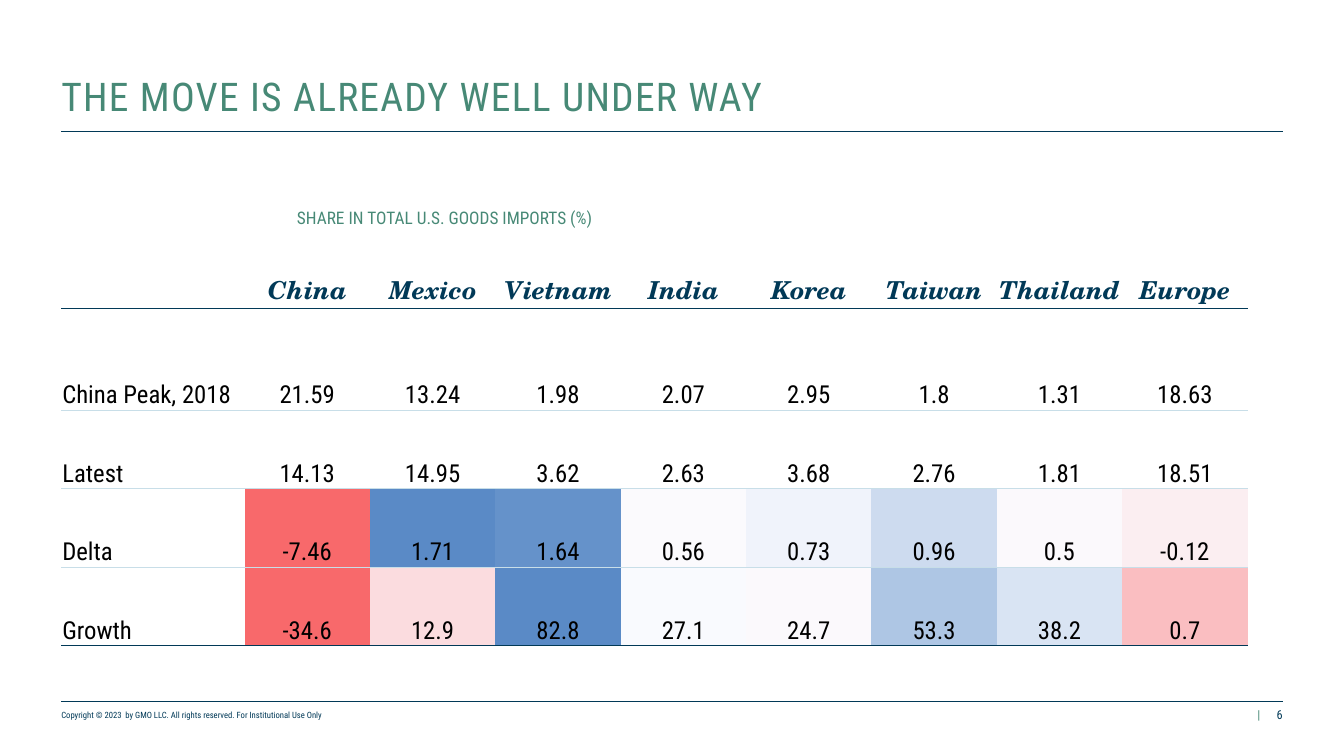
"""Build a slide with a shaded table of shares in U.S. goods imports."""
from lxml.etree import SubElement
from pptx import Presentation
from pptx.dml.color import RGBColor as RGB
from pptx.enum.shapes import MSO_CONNECTOR as CONN
from pptx.enum.text import MSO_ANCHOR as ANCHOR, PP_ALIGN as ALIGN
from pptx.oxml.ns import qn
from pptx.util import Pt

COLORS = {"navy": "013957", "green": "478976", "pale": "C8DEE8", "black": "000000"}
SANS, SERIF = "Roboto Condensed", "TeX Gyre Schola"
LEFT, RIGHT = 49.7, 1038.2
NO_STYLE = "{2D5ABB26-0587-4C30-8999-92F81FD0307C}"


def set_font(p, size, color, name=SANS):
    p.font.size, p.font.name = Pt(size), name
    p.font.color.rgb = RGB.from_string(COLORS[color])


def add_text(text, box, size, color, align=ALIGN.LEFT, inset=(0, 0), anchor=ANCHOR.BOTTOM):
    tf = s.shapes.add_textbox(*map(Pt, box)).text_frame
    tf.word_wrap, tf.vertical_anchor = True, anchor
    tf.margin_left = tf.margin_right = Pt(inset[0])
    tf.margin_top = tf.margin_bottom = Pt(inset[1])
    p = tf.paragraphs[0]
    p.text, p.alignment = text, align
    set_font(p, size, color)
    return p


prs = Presentation()
prs.slide_width, prs.slide_height = Pt(1087.9), Pt(612)
s = prs.slides.add_slide(prs.slide_layouts[6])

add_text("Copyright © 2023  by GMO LLC. All rights reserved. For Institutional Use Only",
         (LEFT, 572.4, 511.2, 10.8), 7, "navy")
add_text(" |", (1013.8, 572.4, 7.9, 12.2), 10, "green", ALIGN.CENTER)
add_text("6", (793.4, 572.4, 244.8, 12.2), 10, "navy", ALIGN.RIGHT)

for y, width in ((567.4, 0.5), (106.6, 1)):
    rule = s.shapes.add_connector(CONN.STRAIGHT, Pt(LEFT), Pt(y), Pt(RIGHT), Pt(y))
    rule.line.width = Pt(width)
    rule.line.color.rgb = RGB.from_string(COLORS["navy"])
    SubElement(rule._element.spPr, qn("a:effectLst"))

title = add_text("THE MOVE IS ALREADY WELL UNDER WAY", (LEFT, 36, 989.3, 61.2), 32, "green")
title.line_spacing = 0.9
title.runs[0]._r.get_or_add_rPr().set("spc", "100")

rows = [
    ["", "China", "Mexico", "Vietnam", "India", "Korea", "Taiwan", "Thailand", "Europe"],
    ["China Peak, 2018", "21.59", "13.24", "1.98", "2.07", "2.95", "1.8", "1.31", "18.63"],
    ["Latest", "14.13", "14.95", "3.62", "2.63", "3.68", "2.76", "1.81", "18.51"],
    ["Delta", "-7.46", "1.71", "1.64", "0.56", "0.73", "0.96", "0.5", "-0.12"],
    ["Growth", "-34.6", "12.9", "82.8", "27.1", "24.7", "53.3", "38.2", "0.7"],
]
heat = {
    3: ["F8696B", "5A8AC6", "6592CA", "FBFAFD", "F0F3FB", "CDDBEF", "FBF9FC", "FBEEF1"],
    4: ["F8696B", "FBDCDF", "5A8AC6", "F9FAFE", "FBF9FC", "AEC6E4", "D9E4F3", "FABEC1"],
}
rule_colors = ["navy", "pale", "pale", "pale", "navy"]
heights = [113, 82.1, 63.6, 63.6, 63.6]
widths = [148.3] + [101.5] * 8

table = s.shapes.add_table(len(rows), len(widths), Pt(LEFT), Pt(136.8),
                           Pt(sum(widths)), Pt(sum(heights))).table
table.first_row = table.horz_banding = False
table._tbl.tblPr.find(qn("a:tableStyleId")).text = NO_STYLE
for column, width in zip(table.columns, widths):
    column.width = Pt(width)

for i, values in enumerate(rows):
    table.rows[i].height = Pt(heights[i])
    for j, value in enumerate(values):
        cell = table.cell(i, j)
        cell.vertical_anchor = ANCHOR.BOTTOM
        cell.margin_left = cell.margin_right = cell.margin_top = Pt(0.72)
        cell.margin_bottom = 0
        p = cell.text_frame.paragraphs[0]
        p.text = value
        p.alignment = ALIGN.CENTER if j else ALIGN.LEFT
        set_font(p, 20, "black" if i else "navy", SANS if i else SERIF)
        p.font.bold = p.font.italic = i == 0

        borders = [("a:lnB", rule_colors[i])]
        if i:
            borders.insert(0, ("a:lnT", rule_colors[i - 1]))
        for tag, color in borders:
            ln = SubElement(cell._tc.get_or_add_tcPr(), qn(tag), w=str(Pt(0.5)))
            SubElement(SubElement(ln, qn("a:solidFill")), qn("a:srgbClr"), val=COLORS[color])
        if i in heat and j:
            cell.fill.solid()
            cell.fill.fore_color.rgb = RGB.from_string(heat[i][j - 1])
        else:
            cell.fill.background()

add_text("SHARE IN TOTAL U.S. GOODS IMPORTS (%)", (233.3, 164.2, 652.3, 24.5), 14, "green",
         inset=(7.2, 3.6), anchor=ANCHOR.TOP)

prs.save("out.pptx")
